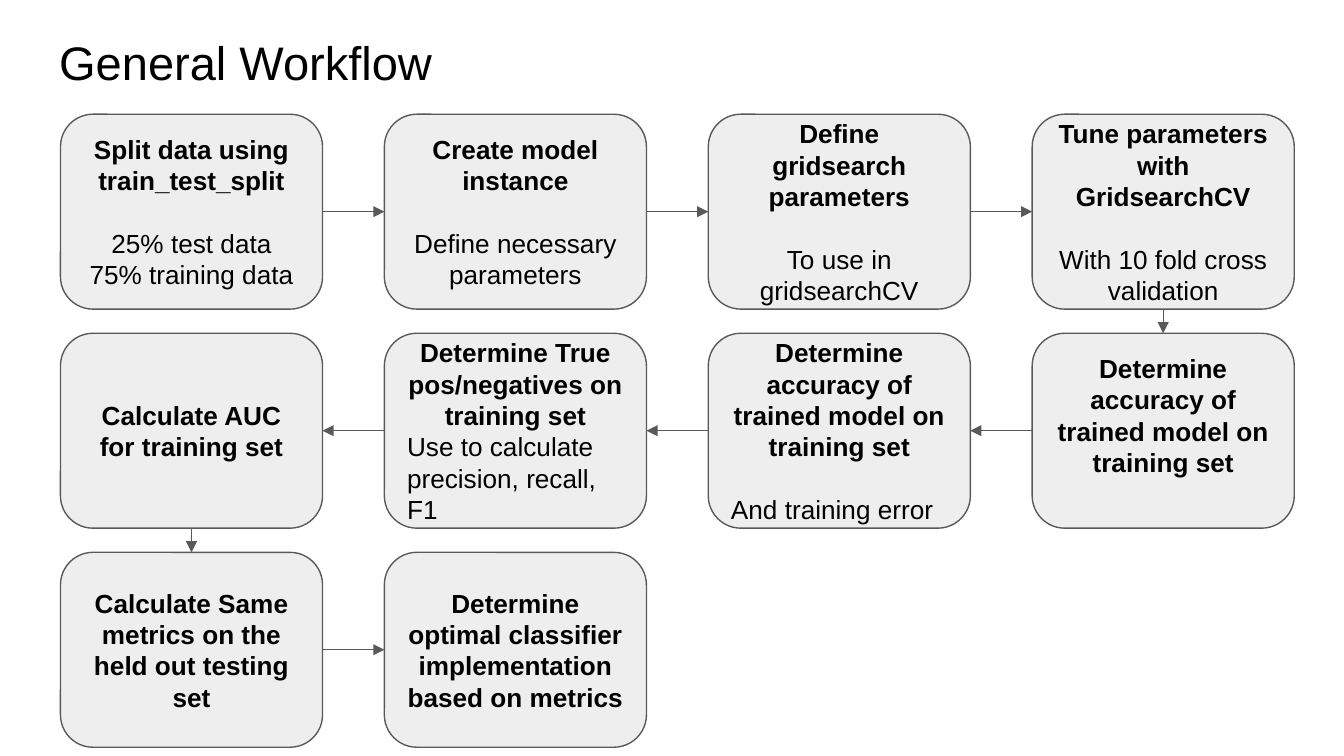
from itertools import pairwise

from lxml import etree
from pptx import Presentation
from pptx.dml.color import RGBColor
from pptx.enum.shapes import MSO_CONNECTOR, MSO_SHAPE
from pptx.enum.text import MSO_ANCHOR, MSO_AUTO_SIZE, PP_ALIGN
from pptx.oxml.ns import qn
from pptx.util import Pt

ROUNDED = MSO_SHAPE.ROUNDED_RECTANGLE
STRAIGHT = MSO_CONNECTOR.STRAIGHT
TOP, MIDDLE = MSO_ANCHOR.TOP, MSO_ANCHOR.MIDDLE
LEFT, CENTER = PP_ALIGN.LEFT, PP_ALIGN.CENTER
NO_AUTOFIT = MSO_AUTO_SIZE.NONE
TITLE_ONLY = 5
TOP_SITE, LEFT_SITE, BOTTOM_SITE, RIGHT_SITE = range(4)

BLACK = RGBColor(0x00, 0x00, 0x00)
GRAY = RGBColor(0x59, 0x59, 0x59)
LIGHT_GRAY = RGBColor(0xEE, 0xEE, 0xEE)
WHITE = RGBColor(0xFF, 0xFF, 0xFF)

FONT = "Arial"
INSET = 7.2
BLANK_LINE = 16.8
COLUMNS = 4
STEP_WIDTH, STEP_HEIGHT = 140.4, 104.4
COLUMN_PITCH, ROW_PITCH = 173.52, 117.36

STEPS = [
    {"heading": "Split data using train_test_split",
     "details": ["25% test data", "75% training data"]},
    {"heading": "Create model instance",
     "details": ["Define necessary parameters"]},
    {"heading": "Define gridsearch parameters",
     "details": ["To use in gridsearchCV"]},
    {"heading": "Tune parameters with GridsearchCV",
     "details": ["With 10 fold cross validation"]},
    {"heading": "Determine accuracy of trained model on training set",
     "space_below": BLANK_LINE},
    {"heading": "Determine accuracy of trained model on training set",
     "details": ["And training error"], "alignment": LEFT},
    {"heading": "Determine True pos/negatives on training set",
     "details": ["Use to calculate precision, recall, F1"],
     "alignment": LEFT, "gap": 0},
    {"heading": "Calculate AUC for training set"},
    {"heading": "Calculate Same metrics on the held out testing set"},
    {"heading": "Determine optimal classifier implementation based on metrics"},
]


def write_text(paragraph, text, size=14, bold=False, alignment=CENTER, before=0):
    paragraph.alignment = alignment
    paragraph.space_before = Pt(before)
    run = paragraph.add_run()
    run.text = text
    run.font.name = FONT
    run.font.size = Pt(size)
    run.font.bold = bold
    run.font.color.rgb = BLACK


def format_frame(frame, anchor, space_below=0):
    frame.word_wrap = True
    frame.auto_size = NO_AUTOFIT
    frame.vertical_anchor = anchor
    frame.margin_left = frame.margin_right = frame.margin_top = Pt(INSET)
    frame.margin_bottom = Pt(INSET + space_below)


def add_title(slide, text, left, top, width, height):
    title = slide.shapes.title
    title.left, title.top = Pt(left), Pt(top)
    title.width, title.height = Pt(width), Pt(height)
    format_frame(title.text_frame, TOP)
    write_text(title.text_frame.paragraphs[0], text, size=25.2, alignment=LEFT)


def add_step(slide, left, top, heading, details=(), alignment=CENTER,
             gap=BLANK_LINE, space_below=0):
    step = slide.shapes.add_shape(
        ROUNDED, Pt(left), Pt(top), Pt(STEP_WIDTH), Pt(STEP_HEIGHT))
    step.shadow.inherit = False
    step.fill.solid()
    step.fill.fore_color.rgb = LIGHT_GRAY
    step.line.color.rgb = GRAY
    step.line.width = Pt(0.75)
    frame = step.text_frame
    format_frame(frame, MIDDLE, space_below)
    write_text(frame.paragraphs[0], heading, bold=True)
    for index, detail in enumerate(details):
        write_text(frame.add_paragraph(), detail, alignment=alignment,
                   before=0 if index else gap)
    return step


def add_arrow(slide, source, target):
    if source.left == target.left:
        sites = BOTTOM_SITE, TOP_SITE
    elif source.left < target.left:
        sites = RIGHT_SITE, LEFT_SITE
    else:
        sites = LEFT_SITE, RIGHT_SITE
    arrow = slide.shapes.add_connector(STRAIGHT, 0, 0, 0, 0)
    arrow.begin_connect(source, sites[0])
    arrow.end_connect(target, sites[1])
    arrow.line.color.rgb = GRAY
    arrow.line.width = Pt(0.75)
    etree.SubElement(arrow.line._get_or_add_ln(), qn("a:tailEnd"), type="triangle")
    etree.SubElement(arrow._element.spPr, qn("a:effectLst"))


def add_workflow(slide, left, top):
    shapes = []
    for index, step in enumerate(STEPS):
        row, column = divmod(index, COLUMNS)
        if row % 2:
            column = COLUMNS - 1 - column
        shapes.append(add_step(slide, left + column * COLUMN_PITCH,
                               top + row * ROW_PITCH, **step))
    for source, target in pairwise(shapes):
        add_arrow(slide, source, target)


def main():
    presentation = Presentation()
    presentation.slide_width, presentation.slide_height = Pt(720), Pt(405)
    slide = presentation.slides.add_slide(presentation.slide_layouts[TITLE_ONLY])
    slide.background.fill.solid()
    slide.background.fill.fore_color.rgb = WHITE
    add_title(slide, "General Workflow", left=24.5, top=10.8, width=671, height=45.4)
    add_workflow(slide, left=32.4, top=61.2)
    presentation.save("out.pptx")


if __name__ == "__main__":
    main()
